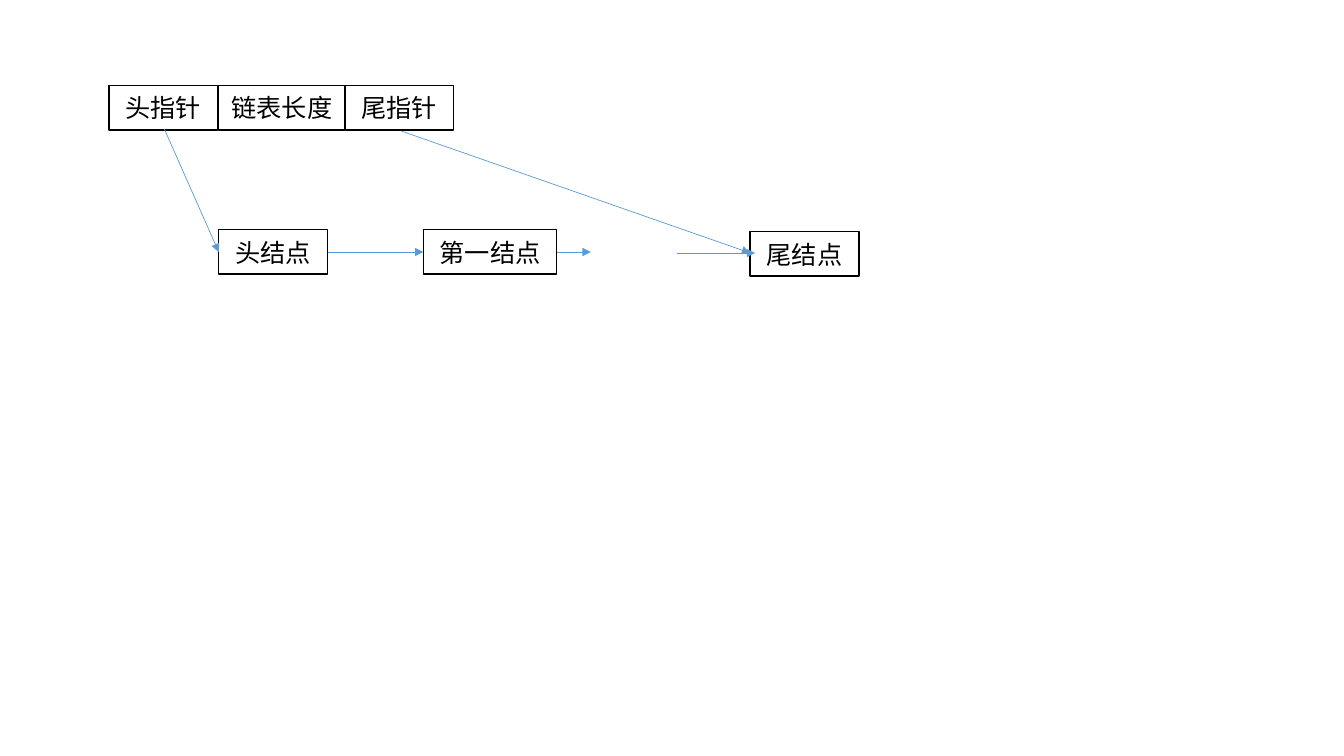
from lxml import etree
from pptx import Presentation
from pptx.dml.color import RGBColor
from pptx.enum.shapes import MSO_CONNECTOR, MSO_SHAPE
from pptx.enum.text import MSO_ANCHOR, PP_ALIGN
from pptx.oxml.ns import qn
from pptx.util import Inches, Pt

COLORS = {"box": "FFFFFF", "ink": "000000", "arrow": "5B9BD5"}
BOX_HEIGHT = 0.44
FONT = {"size": Pt(18), "name": "Calibri"}
FRAME = {
    "word_wrap": True,
    "vertical_anchor": MSO_ANCHOR.MIDDLE,
    "margin_left": Inches(0.1),
    "margin_right": Inches(0.1),
}


def color(name):
    return RGBColor.from_string(COLORS[name])


deck = Presentation()
deck.slide_width, deck.slide_height = Inches(13.33), Inches(7.5)
page = deck.slides.add_slide(deck.slide_layouts[6])

# List header and nodes: text, left, top, width
boxes = [
    ("头指针", 1.08, 0.85, 1.08),
    ("链表长度", 2.17, 0.85, 1.25),
    ("尾指针", 3.42, 0.85, 1.08),
    ("头结点", 2.17, 2.28, 1.08),
    ("第一结点", 4.2, 2.28, 1.32),
    ("尾结点", 7.44, 2.3, 1.08),
]
for text, left, top, width in boxes:
    box = page.shapes.add_shape(
        MSO_SHAPE.RECTANGLE,
        Inches(left), Inches(top), Inches(width), Inches(BOX_HEIGHT),
    )
    box.shadow.inherit = False
    box.fill.solid()
    box.fill.fore_color.rgb = color("box")
    box.line.color.rgb = color("ink")
    box.line.width = Pt(1)
    for key, value in FRAME.items():
        setattr(box.text_frame, key, value)
    para = box.text_frame.paragraphs[0]
    para.alignment = PP_ALIGN.CENTER
    span = para.add_run()
    span.text = text
    for key, value in FONT.items():
        setattr(span.font, key, value)
    span.font.color.rgb = color("ink")

# Pointers and links: start x, start y, end x, end y
arrows = [
    (1.63, 1.28, 2.17, 2.5),
    (3.25, 2.5, 4.2, 2.5),
    (5.52, 2.5, 5.86, 2.5),
    (6.71, 2.51, 7.49, 2.51),
    (3.98, 1.3, 7.44, 2.51),
]
for ends in arrows:
    arrow = page.shapes.add_connector(
        MSO_CONNECTOR.STRAIGHT, *(Inches(value) for value in ends)
    )
    arrow.line.color.rgb = color("arrow")
    arrow.line.width = Pt(0.5)
    outline = arrow.line._get_or_add_ln()
    etree.SubElement(outline, qn("a:tailEnd"), type="triangle")
    etree.SubElement(outline.getparent(), qn("a:effectLst"))

deck.save("out.pptx")
